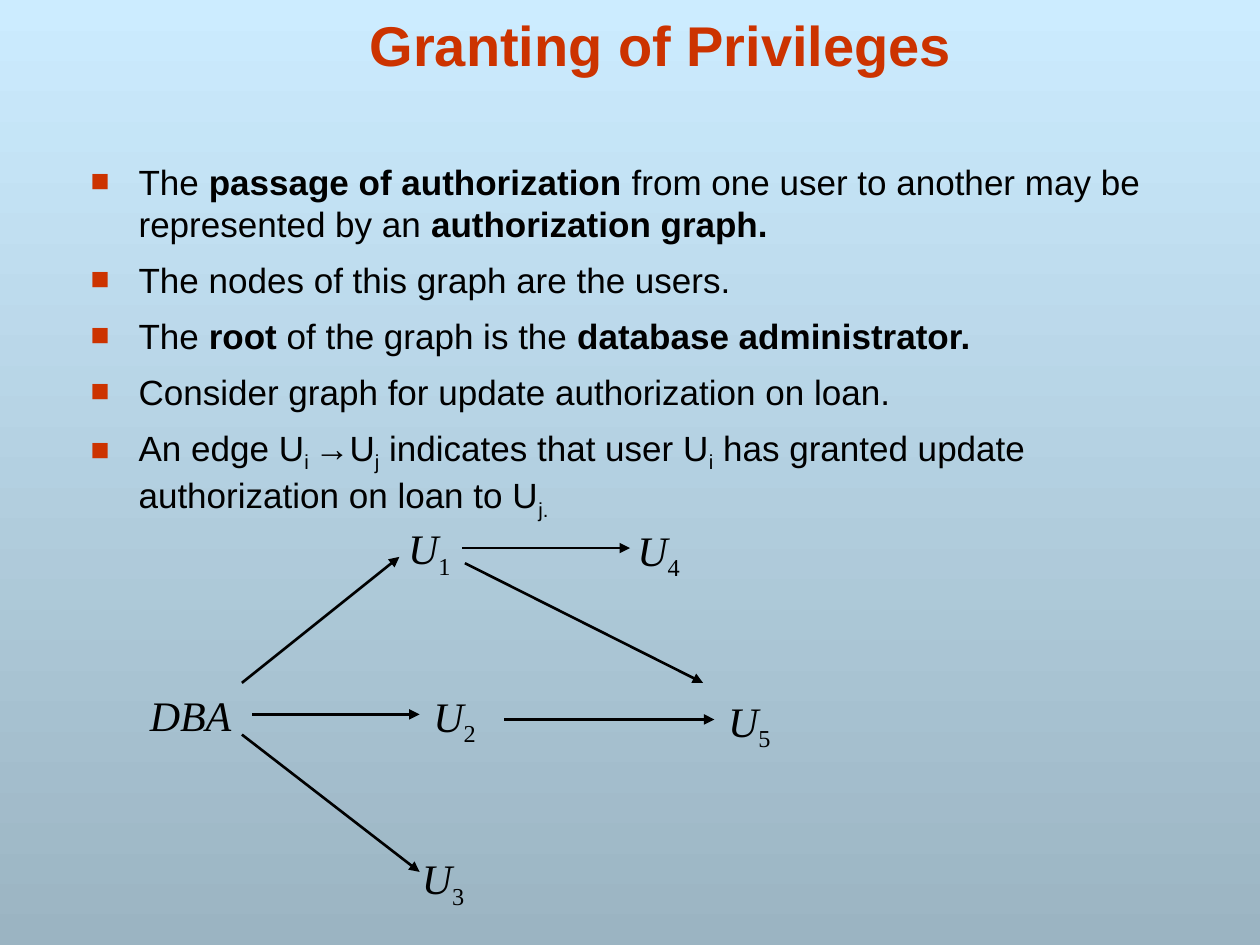
from dataclasses import dataclass

from lxml.etree import SubElement
from pptx import Presentation
from pptx.dml.color import RGBColor as RGB
from pptx.enum.shapes import MSO_CONNECTOR as CONN
from pptx.enum.text import MSO_ANCHOR as ANCHOR, MSO_AUTO_SIZE as FIT, PP_ALIGN as ALIGN
from pptx.oxml.ns import qn
from pptx.util import Inches, Pt


@dataclass(frozen=True)
class Theme:
    """Colours, fonts and sizes of the slide."""
    accent: str = "CC3300"
    ink: RGB = RGB(0, 0, 0)
    sky: RGB = RGB(0xCC, 0xEC, 0xFF)
    slate: RGB = RGB(0x9B, 0xB4, 0xC2)
    sans: str = "Arial"
    serif: str = "Times New Roman"
    title: Pt = Pt(32)
    body: Pt = Pt(20)
    node: Pt = Pt(24)
    gap: Pt = Pt(8)
    line: Pt = Pt(1.5)


THEME = Theme()
TITLE = dict(name=THEME.sans, size=THEME.title, bold=True)
BODY = dict(name=THEME.sans, size=THEME.body)
NODE = dict(name=THEME.serif, size=THEME.node)
PLAIN, BOLD, SUB, ITALIC = {}, {"bold": True}, {"sub": True}, {"italic": True}

BULLETS = [
    [("The ", PLAIN), ("passage of authorization ", BOLD),
     ("from one user to another may be represented by an ", PLAIN),
     ("authorization graph.", BOLD)],
    [("The nodes of this graph are the users.", PLAIN)],
    [("The ", PLAIN), ("root", BOLD), (" of the graph is the ", PLAIN),
     ("database administrator.", BOLD)],
    [("Consider graph for update authorization on loan.", PLAIN)],
    [("An edge U", PLAIN), ("i ", SUB), ("→U", PLAIN), ("j", SUB),
     (" indicates that user U", PLAIN), ("i", SUB),
     (" has granted update authorization on loan to U", PLAIN), ("j.", SUB)],
]
EDGES = [
    ((1.92, 5.42), (3.17, 4.42)),
    ((3.67, 4.35), (5, 4.35)),
    ((2, 5.67), (3.33, 5.67)),
    ((1.92, 5.83), (3.33, 6.92)),
    ((4, 5.71), (5.67, 5.71)),
    ((3.69, 4.47), (5.58, 5.42)),
]
NODES = [
    ("U", "1", 3.14, 4.1),
    ("U", "4", 4.96, 4.11),
    ("U", "2", 3.34, 5.43),
    ("U", "5", 5.68, 5.47),
    ("U", "3", 3.25, 6.72),
    ("DBA", "", 1.09, 5.42),
]


def place(sp, left, top, width, height):
    """Move and size a shape in inches."""
    for name, value in dict(left=left, top=top, width=width, height=height).items():
        setattr(sp, name, Inches(value))


def add_run(p, text, sub=False, color=THEME.ink, **fmt):
    """Add a formatted run, lowered if it is a subscript."""
    r = p.add_run()
    r.text = text
    for name, value in fmt.items():
        setattr(r.font, name, value)
    r.font.color.rgb = color
    if sub:
        r._r.get_or_add_rPr().set("baseline", "-25000")


def add_bullet(p):
    """Give a paragraph a hanging square bullet."""
    pPr = p._p.get_or_add_pPr()
    pPr.set("marL", str(Inches(0.38)))
    pPr.set("indent", str(-Inches(0.38)))
    SubElement(SubElement(pPr, qn("a:buClr")), qn("a:srgbClr"), val=THEME.accent)
    SubElement(pPr, qn("a:buSzPct"), val="90000")
    SubElement(pPr, qn("a:buFont"), typeface=THEME.sans)
    SubElement(pPr, qn("a:buChar"), char="■")


def set_background(slide):
    """Fill the slide with a gradient from top to bottom."""
    fill = slide.background.fill
    fill.gradient()
    fill.gradient_angle = 270
    for stop, color in zip(fill.gradient_stops, (THEME.sky, THEME.slate)):
        stop.color.rgb = color


def fill_title(sp, text):
    """Write the title in its placeholder."""
    place(sp, 0.83, 0, 8.83, 0.67)
    tf = sp.text_frame
    tf.auto_size, tf.vertical_anchor = FIT.NONE, ANCHOR.BOTTOM
    p = tf.paragraphs[0]
    p.alignment = ALIGN.CENTER
    add_run(p, text, color=RGB.from_string(THEME.accent), **TITLE)


def fill_body(sp, bullets):
    """Write the bullet list in the body placeholder."""
    place(sp, 0.62, 1.22, 8.58, 5.33)
    tf = sp.text_frame
    tf.auto_size, tf.vertical_anchor = FIT.NONE, ANCHOR.TOP
    for i, runs in enumerate(bullets):
        p = tf.add_paragraph() if i else tf.paragraphs[0]
        add_bullet(p)
        p.space_before = THEME.gap if i else Pt(0)
        for text, fmt in runs:
            add_run(p, text, **BODY, **fmt)


def add_edge(slide, start, end):
    """Draw an arrow between two points."""
    points = [Inches(v) for v in (*start, *end)]
    sp = slide.shapes.add_connector(CONN.STRAIGHT, *points)
    sp.line.color.rgb = THEME.ink
    sp.line.width = THEME.line
    SubElement(sp.line._get_or_add_ln(), qn("a:tailEnd"), type="triangle")
    SubElement(sp._element.spPr, qn("a:effectLst"))


def add_node(slide, label, index, left, top):
    """Add a graph node label with its index."""
    width = 0.55 if index else 0.85
    sp = slide.shapes.add_textbox(*map(Inches, (left, top, width, 0.5)))
    tf = sp.text_frame
    tf.word_wrap, tf.auto_size = False, FIT.SHAPE_TO_FIT_TEXT
    p = tf.paragraphs[0]
    add_run(p, label, **NODE, **ITALIC)
    if index:
        add_run(p, index, **NODE, **SUB)


def main():
    """Build and save the slide."""
    prs = Presentation()
    prs.slide_width, prs.slide_height = Inches(10), Inches(7.5)
    slide = prs.slides.add_slide(prs.slide_layouts[1])
    set_background(slide)
    fill_title(slide.shapes.title, "Granting of Privileges")
    fill_body(slide.placeholders[1], BULLETS)
    for edge in EDGES:
        add_edge(slide, *edge)
    for node in NODES:
        add_node(slide, *node)
    prs.save("out.pptx")


if __name__ == "__main__":
    main()
